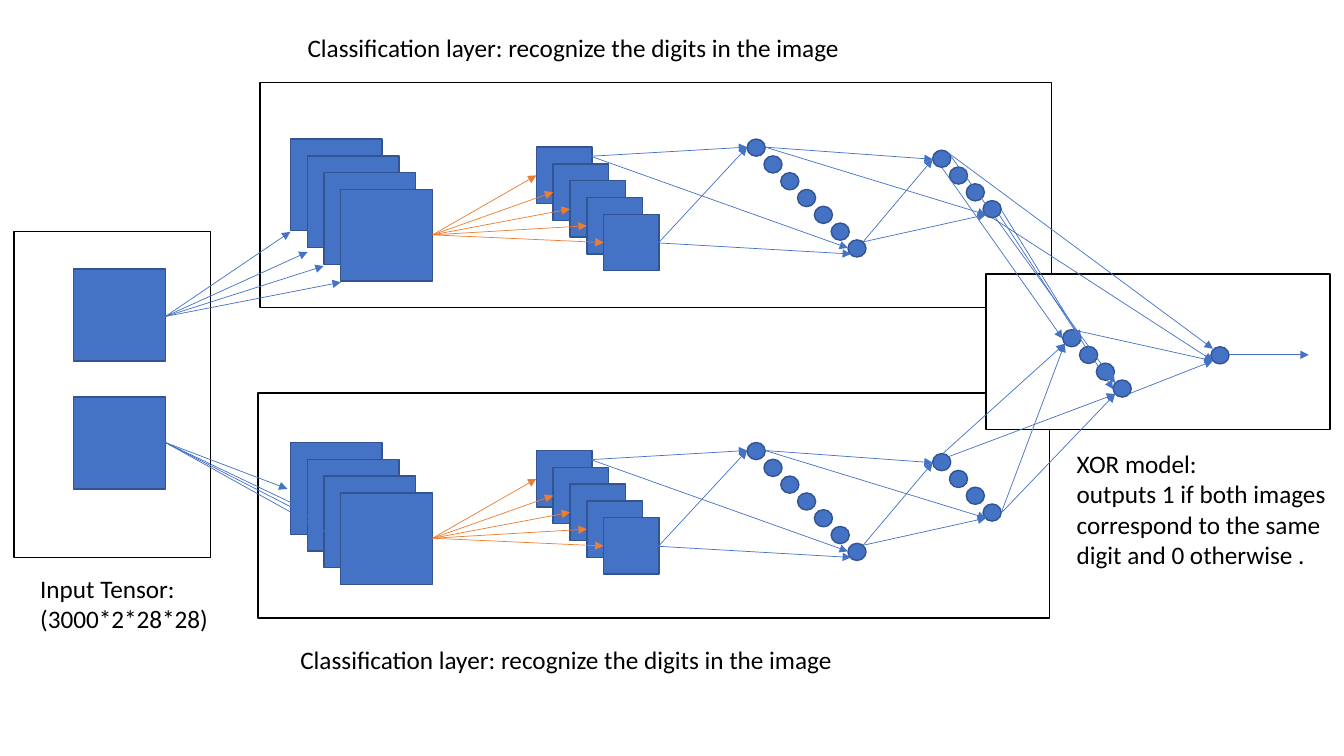
from pptx import Presentation
from pptx.dml.color import RGBColor
from pptx.enum.shapes import MSO_CONNECTOR, MSO_SHAPE
from pptx.enum.text import MSO_ANCHOR, MSO_AUTO_SIZE, PP_ALIGN
from pptx.oxml.ns import qn
from pptx.util import Inches, Pt
from lxml.etree import SubElement

BLUE, OUTLINE, ORANGE = "4472C4", "325491", "ED7D31"
BLACK, WHITE = "000000", "FFFFFF"
STEP = 1 / 6
LOWER_OFFSET = 3.01
CAPTION = "Classification layer: recognize the digits in the image"


def color(value):
    return RGBColor.from_string(value)


def add_block(page, kind, left, top, width, height, fill=BLUE, line=OUTLINE):
    shape = page.shapes.add_shape(
        kind, Inches(left), Inches(top), Inches(width), Inches(height))
    shape.shadow.inherit = False
    shape.fill.solid()
    shape.fill.fore_color.rgb = color(fill)
    shape.line.color.rgb = color(line)
    shape.line.width = Pt(1)


def add_panel(page, left, top, width, height):
    add_block(page, MSO_SHAPE.RECTANGLE, left, top, width, height, WHITE, BLACK)


def add_square(page, left, top, width=0.91, height=0.91):
    add_block(page, MSO_SHAPE.RECTANGLE, left, top, width, height)


def add_neuron(page, left, top):
    add_block(page, MSO_SHAPE.OVAL, left, top, 0.18, 0.17)


def add_cascade(page, draw, count, left, top, *size):
    for index in range(count):
        draw(page, left + index * STEP, top + index * STEP, *size)


def add_arrow(page, start, end, line=BLUE):
    arrow = page.shapes.add_connector(
        MSO_CONNECTOR.STRAIGHT, *map(Inches, (*start, *end)))
    arrow.line.color.rgb = color(line)
    arrow.line.width = Pt(0.5)
    outline = arrow.line._get_or_add_ln()
    SubElement(outline, qn("a:tailEnd"), type="triangle")
    SubElement(arrow._element.spPr, qn("a:effectLst"))


def add_fan(page, start, ends, line=BLUE):
    for end in ends:
        add_arrow(page, start, end, line)


def write_text(box, lines, left, top, width, height, size=18, font="Calibri", fill=BLACK):
    box.left, box.top, box.width, box.height = map(Inches, (left, top, width, height))
    frame = box.text_frame
    frame.word_wrap = False
    frame.auto_size = MSO_AUTO_SIZE.NONE
    frame.vertical_anchor = MSO_ANCHOR.TOP
    for index, line in enumerate(lines):
        para = frame.add_paragraph() if index else frame.paragraphs[0]
        para.alignment = PP_ALIGN.LEFT
        span = para.add_run()
        span.text = line
        span.font.size = Pt(size)
        span.font.name = font
        span.font.color.rgb = color(fill)


def add_label(page, lines, *place):
    write_text(page.shapes.add_textbox(0, 0, 0, 0), lines, *place)


def add_classifier(page, offset):
    def shift(*points):
        return [(x, y + offset) for x, y in points]

    add_cascade(page, add_square, 4, 2.88, 1.38 + offset)
    add_cascade(page, add_square, 5, 5.32, 1.46 + offset, 0.55, 0.56)
    add_cascade(page, add_neuron, 7, 7.41, 1.38 + offset)
    add_cascade(page, add_neuron, 4, 9.25, 1.49 + offset)

    pooled = [(5.32 + index * STEP, 1.74 + index * STEP) for index in range(5)]
    add_fan(page, (4.29, 2.33 + offset), shift(*pooled), ORANGE)
    first_hidden, first_output, last_output = (7.41, 1.46), (9.25, 1.58), (9.78, 2.13)
    for start, ends in (
        ((5.86, 1.55), ((8.41, 2.46), first_hidden)),
        ((6.53, 2.41), (first_hidden, (8.44, 2.52))),
        ((7.59, 1.46), (last_output, first_output)),
        ((8.56, 2.4), (first_output, last_output)),
    ):
        add_fan(page, shift(start)[0], shift(*ends))


def add_xor_links(page):
    first_xor, last_xor, result = (10.56, 3.41), (11.06, 3.91), (12.03, 3.58)
    for start, ends in (
        ((9.34, 4.51), (first_xor,)),
        ((9.41, 4.53), (last_xor,)),
        ((9.93, 5.09), (first_xor, last_xor)),
        ((9.34, 1.66), ((10.54, 3.36),)),
        ((9.91, 2.13), ((11.04, 3.86),)),
        ((9.41, 1.52), ((11.06, 3.8), (12.03, 3.46))),
        ((9.93, 2.08), ((10.72, 3.36),)),
        ((9.84, 2.16), (result,)),
        ((10.63, 3.27), (result,)),
        ((11.19, 3.91), (result,)),
        ((12.19, 3.52), ((12.98, 3.52),)),
    ):
        add_fan(page, start, ends)


def main():
    deck = Presentation()
    deck.slide_width, deck.slide_height = Inches(13.33), Inches(7.5)
    page = deck.slides.add_slide(deck.slide_layouts[5])
    write_text(page.shapes.title, [CAPTION], 2.95, 0.27, 5.55, 0.4)

    add_panel(page, 2.56, 3.9, 7.85, 2.23)
    add_panel(page, 2.58, 0.82, 7.85, 2.23)
    add_panel(page, 0.14, 2.3, 1.95, 3.23)
    add_panel(page, 9.78, 2.72, 3.41, 1.54)

    add_square(page, 0.73, 2.67)
    add_square(page, 0.73, 3.94)
    add_cascade(page, add_neuron, 4, 10.54, 3.27)
    add_neuron(page, 12.01, 3.44)

    add_fan(page, (1.64, 3.14), ((2.88, 2.3), (3.05, 2.5), (3.21, 2.64), (3.38, 2.8)))
    add_classifier(page, 0)
    add_classifier(page, LOWER_OFFSET)
    add_fan(page, (1.64, 4.39), ((2.85, 4.85), (3.02, 5.05), (3.18, 5.18), (3.35, 5.34)))
    add_xor_links(page)

    add_label(page, ["Input Tensor:", "(3000*2*28*28)"], 0.3, 5.64, 1.89, 0.71)
    add_label(page, [CAPTION], 2.88, 6.34, 5.55, 0.4)
    add_label(page, ["XOR model:", "outputs 1 if both images",
                     "correspond to the same", "digit and 0 otherwise ."],
              10.58, 4.4, 2.69, 1.31)
    deck.save("out.pptx")


main()
